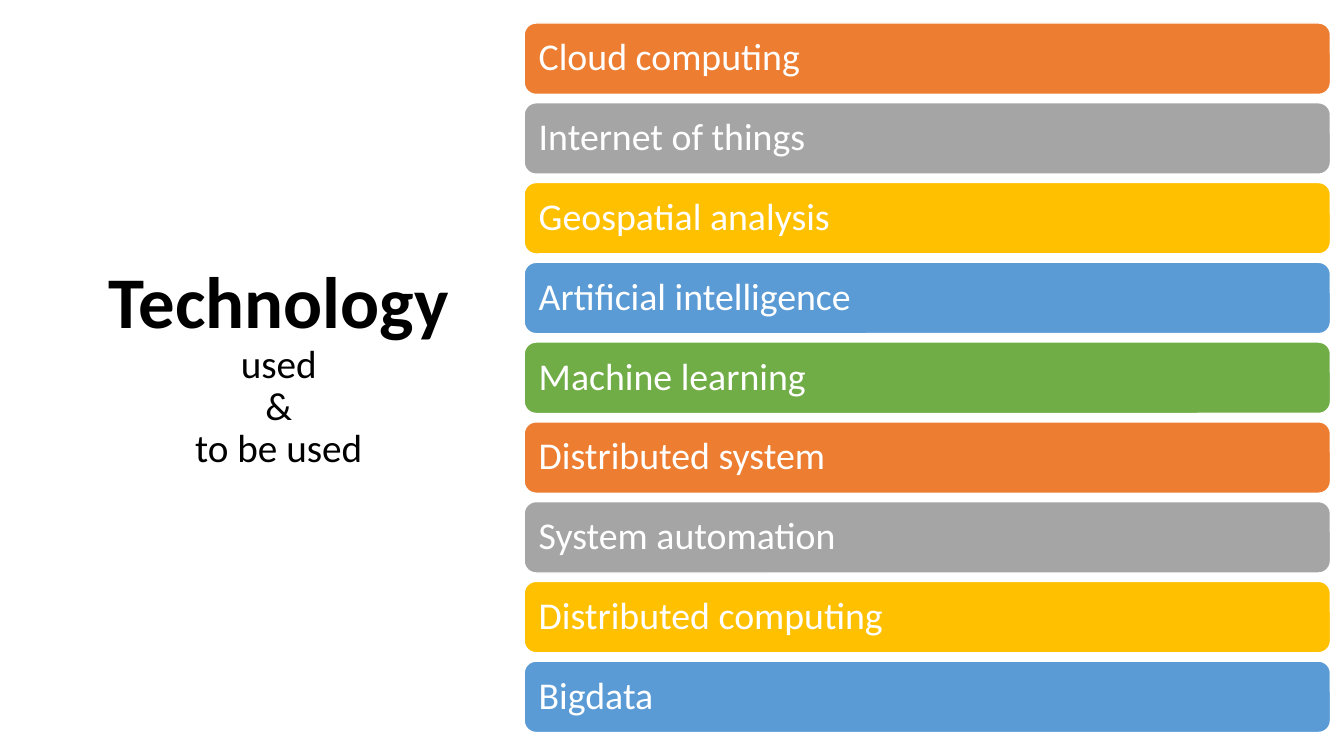
import pptx
import pptx.util
import pptx.dml.color
import pptx.enum.shapes
import pptx.enum.text
from pptx.util import Cm

ALIGN = pptx.enum.text.PP_ALIGN


def color(hex_code):
    return pptx.dml.color.RGBColor.from_string(hex_code)


def write(para, text, size, hex_code, bold=False, align=ALIGN.LEFT):
    para.alignment = align
    para.line_spacing = 0.9
    span = para.add_run()
    span.text = text
    span.font.name = "Calibri"
    span.font.size = pptx.util.Pt(size)
    span.font.bold = bold
    span.font.color.rgb = color(hex_code)


deck = pptx.Presentation()
deck.slide_width, deck.slide_height = Cm(33.87), Cm(19.05)
page = deck.slides.add_slide(deck.slide_layouts[6])

# Title on the left
title_box = page.shapes.add_textbox(Cm(2.34), Cm(1.55), Cm(9.37), Cm(15.47))
title = title_box.text_frame
title.word_wrap = True
title.vertical_anchor = pptx.enum.text.MSO_ANCHOR.MIDDLE
write(title.paragraphs[0], "Technology", 52, "000000", bold=True, align=ALIGN.CENTER)
for line in ("used", "&", "to be used"):
    write(title.add_paragraph(), line, 28, "000000", align=ALIGN.CENTER)

# Stack of technology bars, colours repeating in order
technologies = [
    "Cloud computing", "Internet of things", "Geospatial analysis",
    "Artificial intelligence", "Machine learning", "Distributed system",
    "System automation", "Distributed computing", "Bigdata",
]
bar_colors = ["ED7D31", "A5A5A5", "FFC000", "5B9BD5", "70AD47"]
first_top, pitch = 0.58, 2.01

for index, technology in enumerate(technologies):
    bar = page.shapes.add_shape(
        pptx.enum.shapes.MSO_SHAPE.ROUNDED_RECTANGLE,
        Cm(13.21), Cm(first_top + index * pitch), Cm(20.32), Cm(1.8))
    bar.shadow.inherit = False
    bar.fill.solid()
    bar.fill.fore_color.rgb = color(bar_colors[index % len(bar_colors)])
    bar.line.color.rgb = color("FFFFFF")
    bar.line.width = pptx.util.Pt(1)
    label = bar.text_frame
    label.word_wrap = True
    label.vertical_anchor = pptx.enum.text.MSO_ANCHOR.MIDDLE
    label.margin_left = label.margin_right = Cm(0.28)
    label.margin_top = label.margin_bottom = Cm(0.28)
    write(label.paragraphs[0], technology, 27, "FFFFFF")

deck.save("out.pptx")
